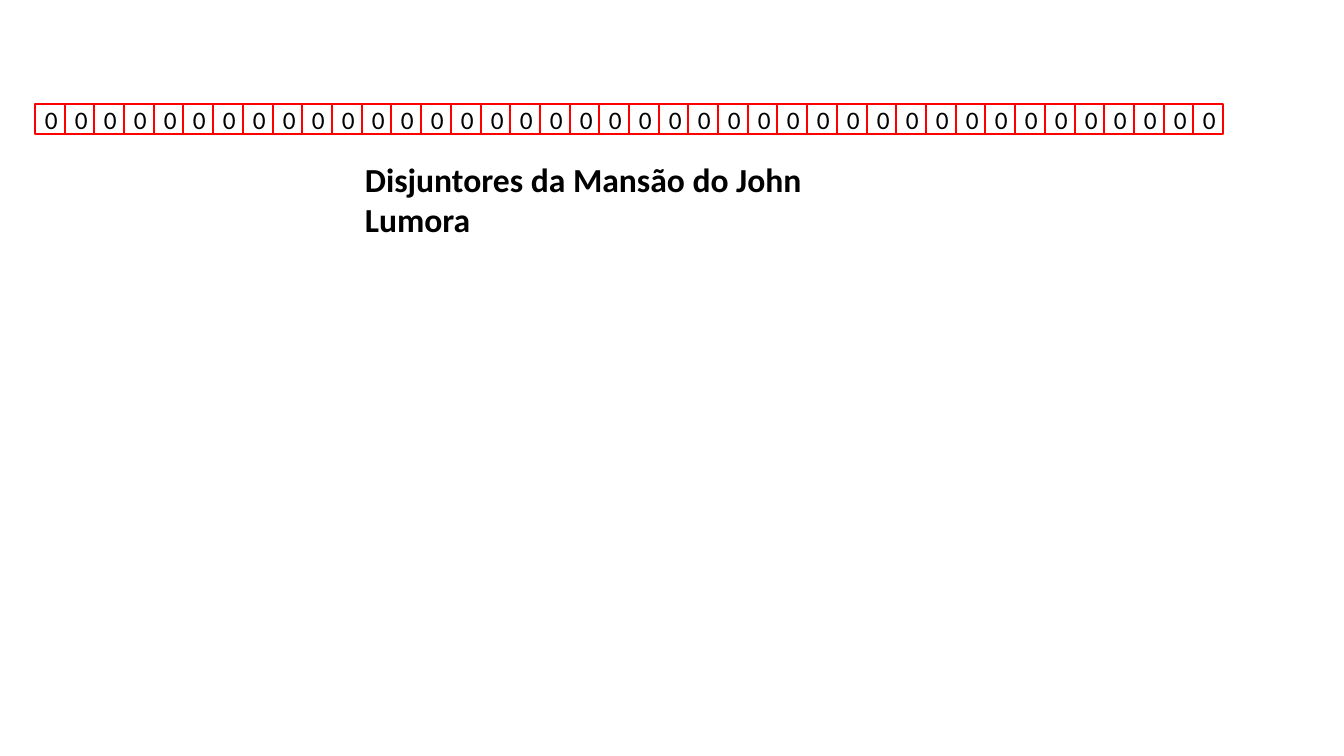
from pptx import Presentation
from pptx.dml.color import RGBColor as Rgb
from pptx.enum.shapes import MSO_SHAPE as Shape
from pptx.enum.text import MSO_ANCHOR as Anchor, MSO_AUTO_SIZE as AutoSize, PP_ALIGN as Align
from pptx.util import Emu, Pt

EMU_PER_PX = 914400 / 100.8
COLORS = {"cell": "FFFFFF", "border": "FF0000", "text": "000000"}


def px(*lengths):
    return [Emu(round(length * EMU_PER_PX)) for length in lengths]


class Panel:
    """Holds the style and the current slide."""

    font = "Calibri"

    def __init__(self, slide):
        self.shapes = slide.shapes

    def color(self, name):
        return Rgb.from_string(COLORS[name])

    def add_text(self, frame, text, align, **formats):
        paragraph = frame.paragraphs[0]
        paragraph.alignment = align
        run = paragraph.add_run()
        run.text = text
        for key, value in {"name": self.font, **formats}.items():
            setattr(run.font, key, value)
        run.font.color.rgb = self.color("text")

    def cell(self, box, text):
        breaker = self.shapes.add_shape(Shape.RECTANGLE, *px(*box))
        breaker.shadow.inherit = False
        breaker.fill.solid()
        breaker.fill.fore_color.rgb = self.color("cell")
        breaker.line.color.rgb = self.color("border")
        breaker.line.width = Pt(1)
        breaker.text_frame.vertical_anchor = Anchor.MIDDLE
        self.add_text(breaker.text_frame, text, Align.CENTER, size=Pt(18))

    def heading(self, box, text):
        frame = self.shapes.add_textbox(*px(*box)).text_frame
        frame.word_wrap = False
        frame.auto_size = AutoSize.SHAPE_TO_FIT_TEXT
        self.add_text(frame, text, Align.LEFT, size=Pt(24), bold=True)


deck = Presentation()
deck.slide_width, deck.slide_height = px(1344, 756)
panel = Panel(deck.slides.add_slide(deck.slide_layouts[6]))

# Row of breakers, all switched off
BREAKERS, ROW_LEFT, ROW_TOP, ROW_WIDTH, CELL = 40, 35, 104, 1188, 30
for index in range(BREAKERS):
    left = ROW_LEFT + round(index * ROW_WIDTH / BREAKERS)
    panel.cell((left, ROW_TOP, CELL, CELL), "0")

# Title under the row
panel.heading((355, 154, 569, 50), "Disjuntores da Mansão do John Lumora")

deck.save("out.pptx")
